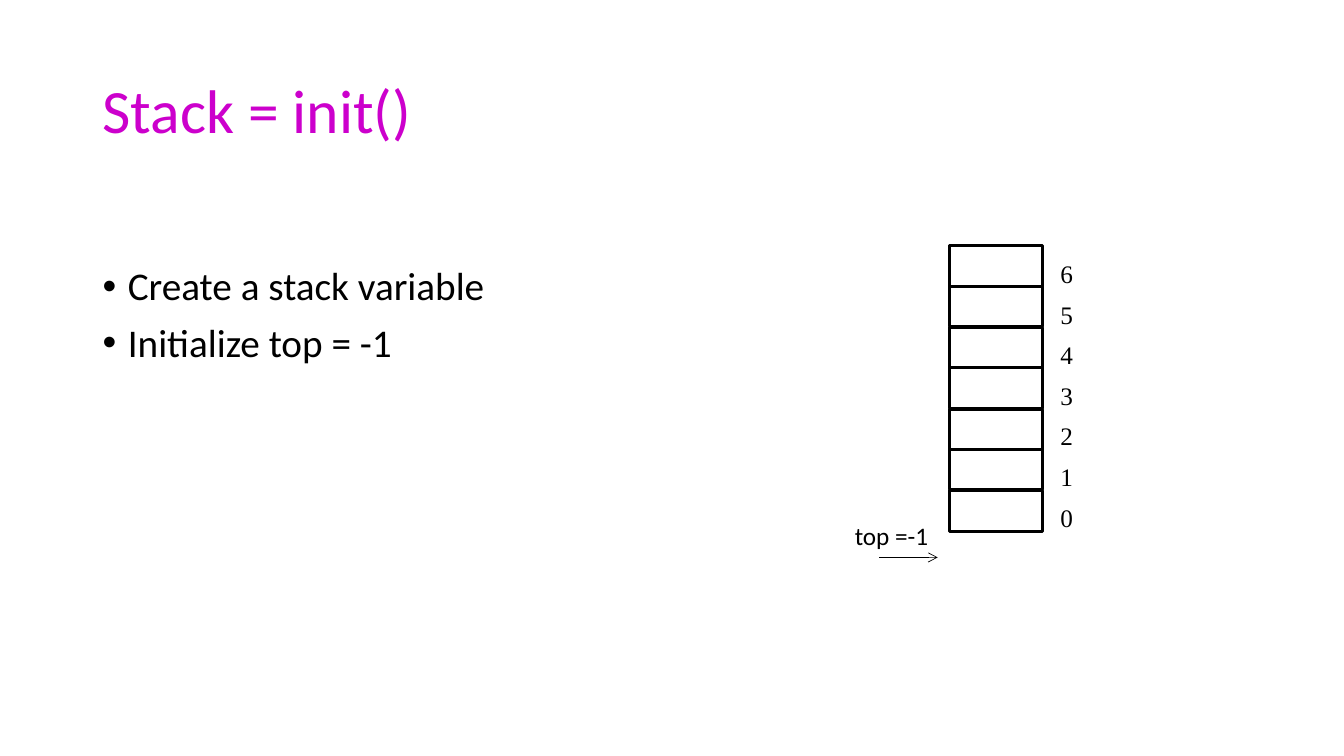
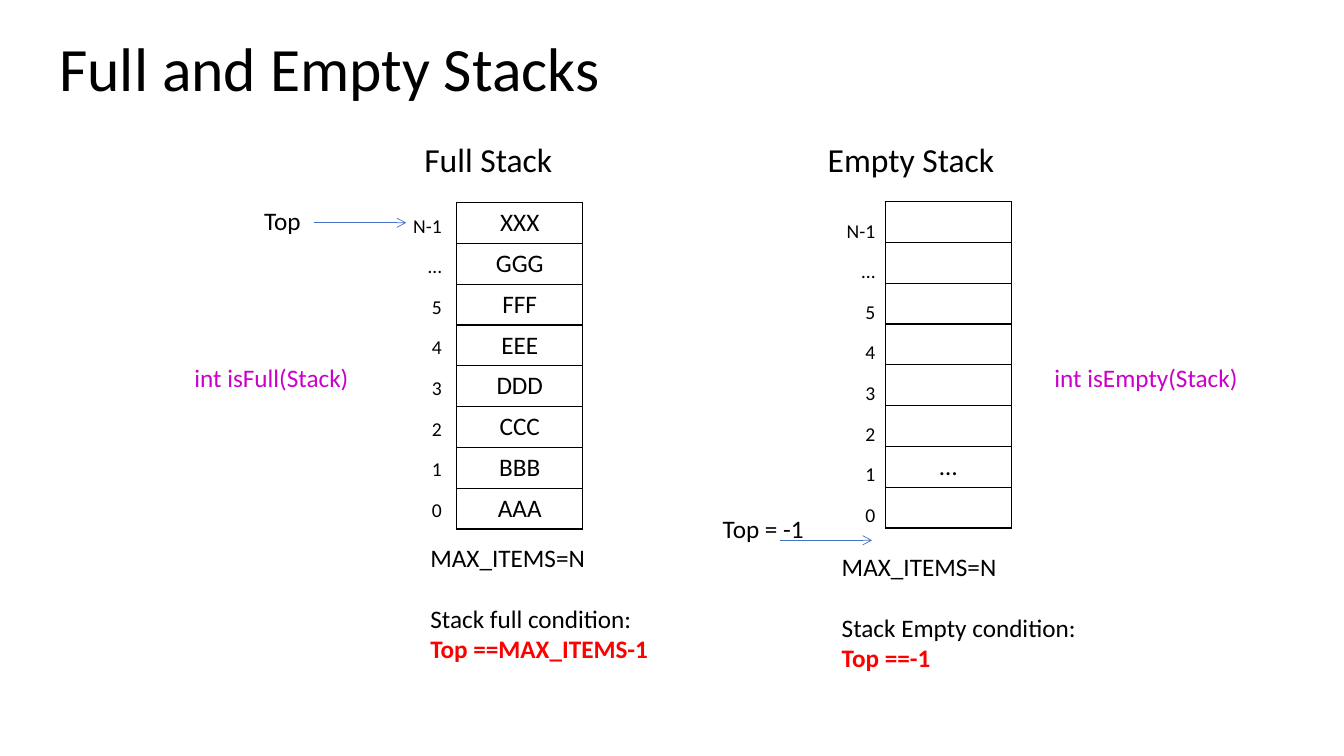
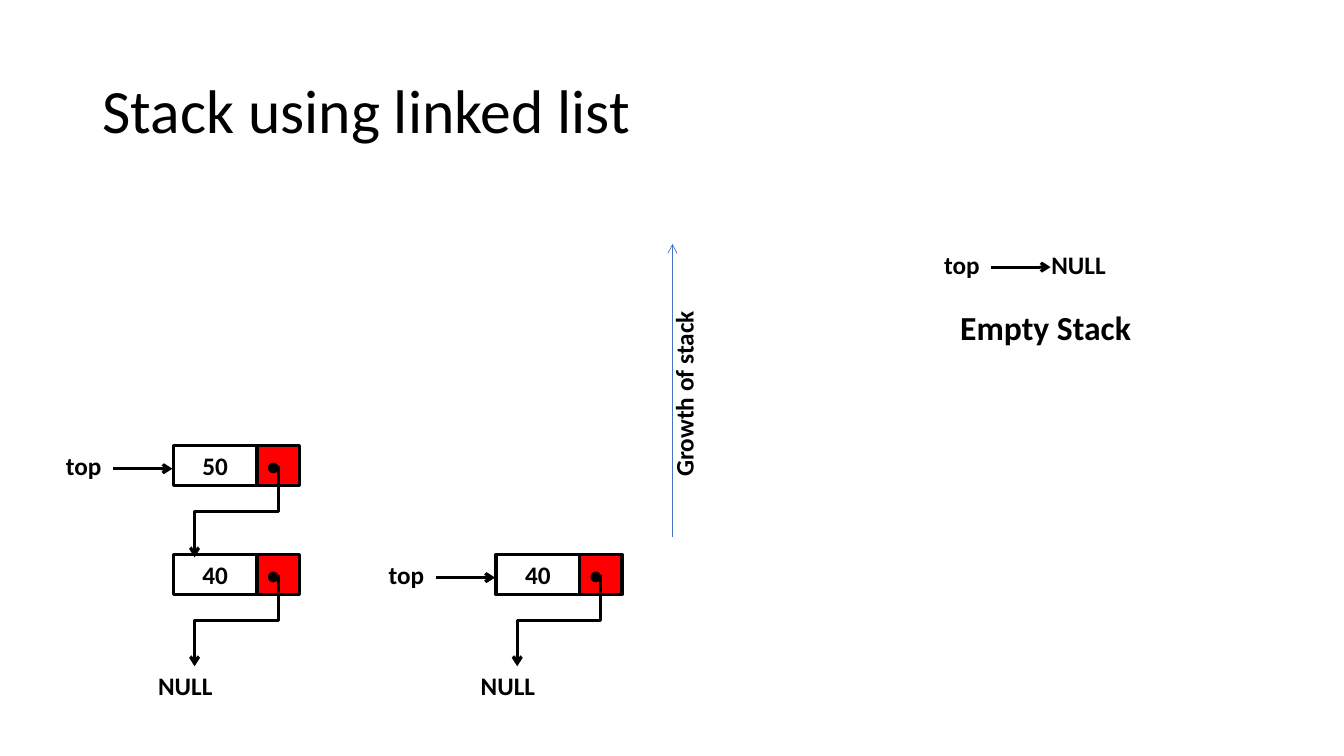
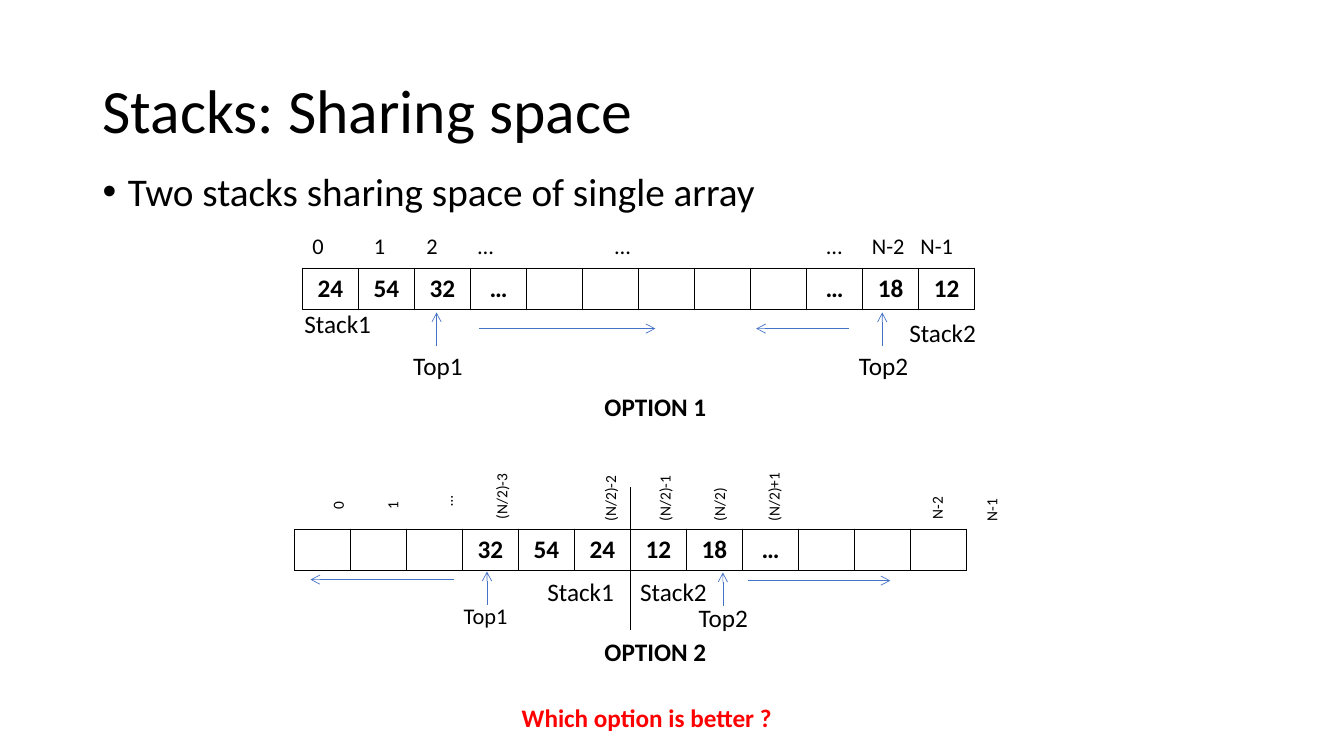
from dataclasses import dataclass

from lxml import etree
from pptx import Presentation
from pptx.dml.color import RGBColor
from pptx.enum.shapes import MSO_CONNECTOR as Connector, MSO_SHAPE as Shape
from pptx.enum.text import MSO_ANCHOR as Anchor, PP_ALIGN as Align
from pptx.oxml.ns import qn
from pptx.util import Emu, Pt


@dataclass(frozen=True)
class Theme:
    """Colours, fonts and type sizes shared by all slides."""
    black: str = "000000"
    magenta: str = "CC00CC"
    red: str = "FF0000"
    blue: str = "4472C4"
    font: str = "Calibri"
    serif: str = "Times New Roman"
    title: int = 44
    body: int = 28
    heading: int = 24
    label: int = 18
    small: int = 16
    index: int = 14
    tiny: int = 11
    thin: float = 0.5
    border: float = 1
    thick: float = 2.25


THEME = Theme()
TITLE_BOX = (92, 40, 1150, 145)
FULL_INDEX = ["N-1", "…", "5", "4", "3", "2", "1", "0"]


def px(value):
    """Turn px, a hundred to the inch, into EMU."""
    return Emu(value * 9144)


def format_runs(paragraph, size, color=THEME.black, bold=False, font=THEME.font):
    """Apply one font setting to every run of a paragraph."""
    for run in paragraph.runs:
        run.font.name = font
        run.font.size = Pt(size)
        run.font.bold = bold
        run.font.color.rgb = RGBColor.from_string(color)


def add_text(slide, box, lines, size=THEME.label, color=THEME.black, bold=False,
             align=Align.LEFT, font=THEME.font, spacing=None, vertical=False):
    """Add a wrapped text box with one paragraph for each line."""
    frame = slide.shapes.add_textbox(*map(px, box)).text_frame
    frame.word_wrap = True
    frame.text = "\n".join(lines)
    if vertical:
        frame._txBody.bodyPr.set("vert", "vert270")
    for paragraph in frame.paragraphs:
        paragraph.alignment = align
        if spacing:
            paragraph.line_spacing = spacing
        format_runs(paragraph, size, color, bold, font)
    return frame


def add_title(slide, text, color=THEME.black, box=TITLE_BOX):
    """Add the slide title."""
    frame = add_text(slide, box, [text], THEME.title, color, spacing=0.9)
    frame.vertical_anchor = Anchor.MIDDLE


def add_bullets(slide, box, lines):
    """Add a bulleted body text."""
    frame = add_text(slide, box, lines, THEME.body, spacing=0.9)
    for number, paragraph in enumerate(frame.paragraphs):
        if number:
            paragraph.space_before = Pt(10)
        properties = paragraph._p.get_or_add_pPr()
        properties.set("marL", str(px(25)))
        properties.set("indent", str(-px(25)))
        etree.SubElement(properties, qn("a:buFont"), typeface="Arial")
        etree.SubElement(properties, qn("a:buChar"), char="•")


def set_tabs(paragraph, stops):
    """Give a paragraph left tab stops."""
    tabs = etree.SubElement(paragraph._p.get_or_add_pPr(), qn("a:tabLst"))
    for stop in stops:
        etree.SubElement(tabs, qn("a:tab"), pos=str(px(stop)), algn="l")


def add_line(slide, start, end, color=THEME.blue, width=THEME.thin,
             kind=Connector.STRAIGHT, arrow=True):
    """Add a connector, with an arrowhead at its end if wanted."""
    connector = slide.shapes.add_connector(kind, *map(px, (*start, *end)))
    connector.line.color.rgb = RGBColor.from_string(color)
    connector.line.width = Pt(width)
    if arrow:
        etree.SubElement(connector.line._get_or_add_ln(), qn("a:tailEnd"), type="arrow")
    etree.SubElement(connector._element.spPr, qn("a:effectLst"))
    return connector


def add_link(slide, start, width, height):
    """Add an elbow arrow that goes down, left and down again."""
    left = start[0] - (width + height) // 2
    top = start[1] + (height - width) // 2
    connector = add_line(slide, (left, top), (left + height, top + width),
                         THEME.black, THEME.thick, Connector.ELBOW)
    connector._element.spPr.find(qn("a:xfrm")).set("rot", "5400000")


def add_box(slide, box, text="", fill=None, align=Align.CENTER):
    """Add an outlined rectangle, with bold text if given."""
    shape = slide.shapes.add_shape(Shape.RECTANGLE, *map(px, box))
    shape.shadow.inherit = False
    shape.line.color.rgb = RGBColor.from_string(THEME.black)
    shape.line.width = Pt(THEME.thick)
    if fill:
        shape.fill.solid()
        shape.fill.fore_color.rgb = RGBColor.from_string(fill)
    else:
        shape.fill.background()
    if text:
        shape.text_frame.text = text
        paragraph = shape.text_frame.paragraphs[0]
        paragraph.alignment = align
        format_runs(paragraph, THEME.label, bold=True)


def set_borders(cell):
    """Draw a thin black line on each side of a cell."""
    properties = cell._tc.get_or_add_tcPr()
    for position, side in enumerate(("lnL", "lnR", "lnT", "lnB")):
        line = etree.Element(qn(f"a:{side}"), w=str(Pt(THEME.border)))
        fill = etree.SubElement(line, qn("a:solidFill"))
        etree.SubElement(fill, qn("a:srgbClr"), val=THEME.black)
        properties.insert(position, line)


def add_grid(slide, box, rows, bold=False):
    """Add a plain table with equal cells."""
    height, width = len(rows), len(rows[0])
    table = slide.shapes.add_table(height, width, *map(px, box)).table
    table.first_row = table.horz_banding = False
    for row, values in zip(table.rows, rows):
        row.height = px(box[3]) // height
        for cell, value in zip(row.cells, values):
            cell.text = value
            cell.fill.background()
            set_borders(cell)
            paragraph = cell.text_frame.paragraphs[0]
            paragraph.alignment = Align.CENTER
            format_runs(paragraph, THEME.label, bold=bold)
    for column in table.columns:
        column.width = px(box[2]) // width


def add_condition(slide, box, name, test):
    """Add the capacity and the condition of a stack state."""
    frame = add_text(slide, box, ["MAX_ITEMS=N", f"Stack {name} condition:", test])
    frame.paragraphs[1].space_before = Pt(22)
    format_runs(frame.paragraphs[2], THEME.label, THEME.red, bold=True)


def add_top_pointer(slide, left, top):
    """Add the word top and its arrow."""
    add_line(slide, (left + 75, top + 23), (left + 134, top + 23), THEME.black, THEME.thick)
    add_text(slide, (left, top, 92, 40), ["top"], bold=True, align=Align.CENTER)


def add_linked_stack(slide, left, values, bottom=550, pitch=108):
    """Add a linked stack whose last value lies at the bottom."""
    first = bottom - pitch * (len(values) - 1)
    for number, value in enumerate(values):
        top = first + number * pitch
        add_box(slide, (left, top, 83, 40), value)
        add_box(slide, (left + 83, top, 42, 40), "•", THEME.red, Align.LEFT)
        add_link(slide, (left + 104, top + 20), 83, 91)
    add_top_pointer(slide, left - 135, first)
    add_text(slide, (left - 25, 660, 117, 40), ["NULL"], bold=True)


def build_init(slide):
    """Show a new stack with its top below the first cell."""
    add_title(slide, "Stack = init()", THEME.magenta)
    add_bullets(slide, (92, 260, 700, 120), ["Create a stack variable", "Initialize top = -1"])
    for number in range(7):
        add_box(slide, (942, 244 + number * 81 // 2, 92, 40))
    add_text(slide, (838, 511, 100, 40), ["top =-1"])
    add_line(slide, (872, 553), (930, 553), THEME.black)
    add_text(slide, (1042, 241, 50, 291), [str(index) for index in range(6, -1, -1)],
             font=THEME.serif, spacing=Pt(29))


def build_full_and_empty(slide):
    """Compare a full stack with an empty one."""
    add_title(slide, "Full and Empty Stacks", box=(49, -2, 1150, 145))
    full = [[letter * 3] for letter in "XGFEDCBA"]
    empty = [["…" if number == 6 else ""] for number in range(8)]
    for left, top, rows in ((453, 201, full), (878, 200, empty)):
        add_grid(slide, (left, top, 125, 324), rows)
    for left, top in ((381, 190), (811, 195)):
        add_text(slide, (left, top, 67, 330), FULL_INDEX, THEME.index,
                 align=Align.RIGHT, spacing=Pt(29))
    for left, name in ((411, "Full Stack"), (811, "Empty Stack")):
        add_text(slide, (left, 133, 225, 50), [name], THEME.heading)
    for left, top, text in ((175, 199, "Top"), (674, 504, "Top = -1")):
        add_text(slide, (left, top, 133, 40), [text], align=Align.RIGHT)
    add_line(slide, (311, 221), (403, 221))
    add_line(slide, (774, 536), (865, 536))
    add_condition(slide, (417, 533, 333, 131), "full", "Top ==MAX_ITEMS-1")
    add_condition(slide, (825, 542, 292, 131), "Empty", "Top ==-1")
    for left, text in ((183, "int isFull(Stack)"), (1036, "int isEmpty(Stack)")):
        add_text(slide, (left, 355, 218, 40), [text], color=THEME.magenta)


def build_linked_list(slide):
    """Show stacks kept as linked lists."""
    add_title(slide, "Stack using linked list")
    add_linked_stack(slide, 172, ["50", "40"])
    add_linked_stack(slide, 492, ["40"])
    add_line(slide, (667, 533), (667, 242))
    add_text(slide, (658, 233, 50, 250), ["Growth of stack"], bold=True, vertical=True)
    add_top_pointer(slide, 908, 242)
    add_text(slide, (1033, 242, 117, 40), ["NULL"], bold=True)
    add_text(slide, (908, 300, 258, 50), ["Empty Stack"], THEME.heading,
             bold=True, align=Align.CENTER)


def build_sharing(slide):
    """Show two ways for two stacks to share an array."""
    add_title(slide, "Stacks: Sharing space")
    add_bullets(slide, (92, 166, 1150, 55), ["Two stacks sharing space of single array"])

    outer = ["24", "54", "32", "…", "", "", "", "", "", "…", "18", "12"]
    inner = ["", "", "", "32", "54", "24", "12", "18", "…", "", "", ""]
    add_grid(slide, (300, 266, 667, 41), [outer], bold=True)
    add_grid(slide, (292, 525, 667, 41), [inner], bold=True)

    index = add_text(slide, (300, 225, 708, 37), ["0\t1\t2\t…\t…\t…\tN-2\tN-1"], THEME.small)
    set_tabs(index.paragraphs[0], (61, 113, 164, 300, 510, 555, 603))
    slots = ((0, "0", 12), (1, "1", 12), (2, "…", 15), (3, "(N/2)-3", 2), (5, "(N/2)-2", 0),
             (6, "(N/2)-1", 0), (7, "(N/2)", 0), (8, "(N/2)+1", 0), (11, "N-2", 2),
             (12, "N-1", 0))
    for slot, text, lift in slots:
        add_text(slide, (321 + 54 * slot, 438 - lift, 40, 89), [text], THEME.tiny, vertical=True)

    labels = ((292, 301, "Stack1"), (892, 310, "Stack2"), (400, 343, "Top1"),
              (842, 343, "Top2"), (533, 567, "Stack1"), (625, 567, "Stack2"),
              (683, 593, "Top2"))
    for left, top, text in labels:
        add_text(slide, (left, top, 92, 40), [text])
    add_text(slide, (450, 592, 75, 37), ["Top1"], THEME.small)

    for left, top in ((433, 310), (875, 310), (483, 567), (717, 568)):
        add_line(slide, (left, top + 33), (left, top))
    for start, end, top in ((475, 650, 326), (842, 750, 326), (450, 308, 575), (742, 883, 576)):
        add_line(slide, (start, top), (end, top))
    add_line(slide, (625, 483), (625, 625), THEME.black, arrow=False)

    for top, text in ((383, "OPTION 1"), (626, "OPTION 2")):
        add_text(slide, (550, top, 200, 40), [text], bold=True, align=Align.CENTER)
    add_text(slide, (375, 692, 533, 40), ["Which option is better ?"],
             color=THEME.red, bold=True, align=Align.CENTER)


def main():
    """Build and save the presentation."""
    presentation = Presentation()
    presentation.slide_width, presentation.slide_height = px(1333), px(750)
    for build in (build_init, build_full_and_empty, build_linked_list, build_sharing):
        build(presentation.slides.add_slide(presentation.slide_layouts[6]))
    presentation.save("out.pptx")


if __name__ == "__main__":
    main()
